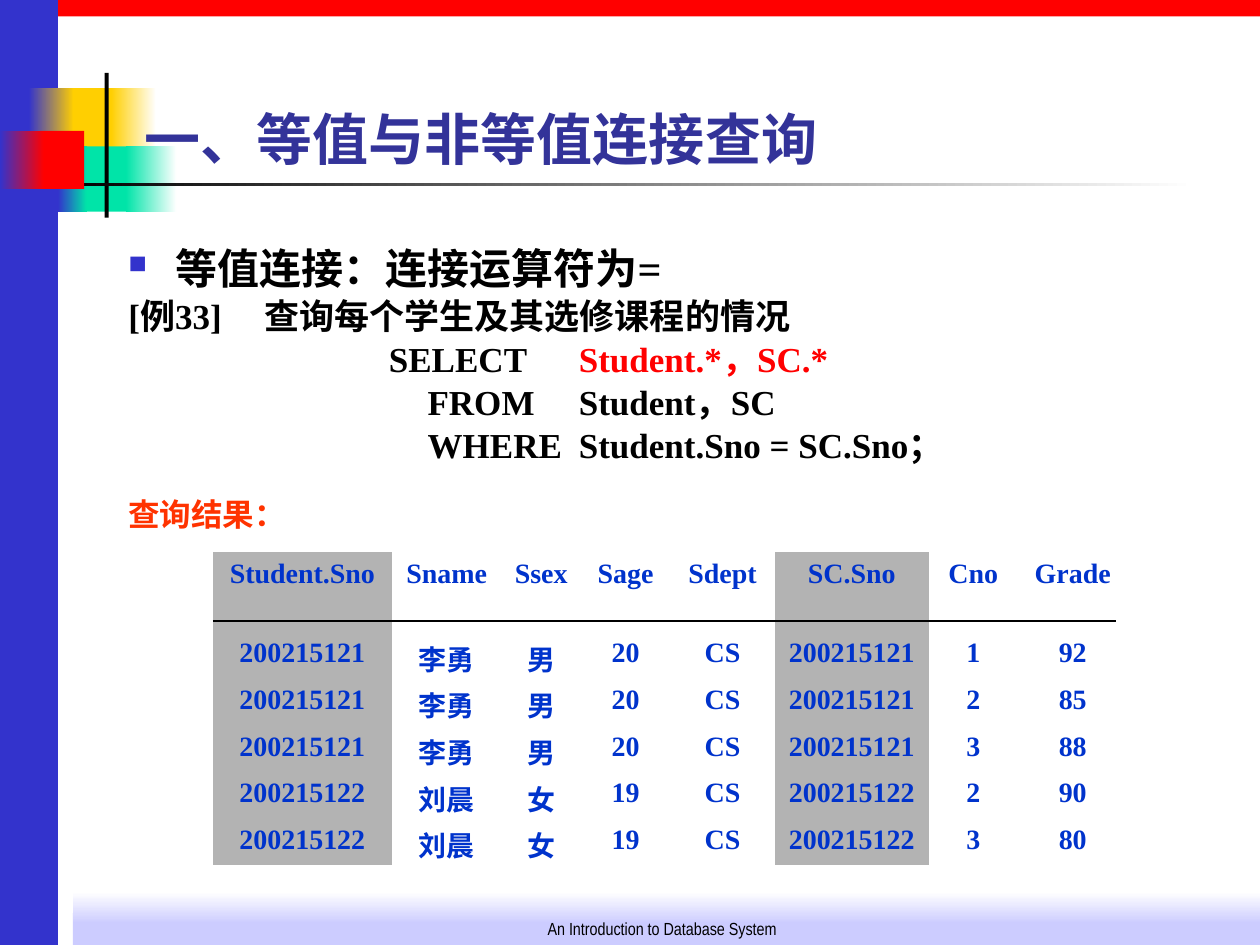
from dataclasses import dataclass
from typing import Optional

from lxml import etree
from pptx import Presentation
from pptx import util as u
from pptx.dml.color import RGBColor
from pptx.enum import shapes, text
from pptx.oxml import ns

Cm, Pt = u.Cm, u.Pt

WHITE = RGBColor(0xFF, 0xFF, 0xFF)
BLACK = RGBColor(0, 0, 0)
RED = RGBColor(0xFF, 0, 0)
INDIGO = RGBColor(0x33, 0x33, 0xCC)
LAVENDER = RGBColor(0xCC, 0xCC, 0xFF)
YELLOW = RGBColor(0xFF, 0xCF, 0x01)
GREEN = RGBColor(0, 0xE4, 0xA8)
TITLE_BLUE = RGBColor(0x33, 0x33, 0x99)
ORANGE = RGBColor(0xFF, 0x33, 0)
TABLE_BLUE = RGBColor(0, 0x33, 0xCC)
GREY = RGBColor(0xB3, 0xB3, 0xB3)

SERIF, CJK = "Times New Roman", "Noto Sans CJK SC"
NO_STYLE = "{2D5ABB26-0587-4C30-8999-92F81FD0307C}"


@dataclass
class Block:
    left: float
    top: float
    width: float
    height: float
    color: RGBColor
    end: Optional[RGBColor] = None  # second gradient colour
    angle: float = 0


@dataclass
class Style:
    size: float
    color: RGBColor = BLACK
    font: str = SERIF
    bold: bool = True


@dataclass
class Line:
    runs: list[tuple[str, Style]]
    tabs: tuple[float, ...] = ()
    bullet: bool = False


def sub(parent, tag: str, **attrs: str):
    return etree.SubElement(parent, ns.qn(tag), attrs)


def add_block(s, b: Block) -> None:
    sp = s.shapes.add_shape(shapes.MSO_SHAPE.RECTANGLE, Cm(b.left), Cm(b.top),
                            Cm(b.width), Cm(b.height))
    sp.shadow.inherit = False
    sp.line.fill.background()
    if b.end is None:
        sp.fill.solid()
        sp.fill.fore_color.rgb = b.color
        return
    sp.fill.gradient()
    sp.fill.gradient_angle = b.angle
    for stop, color, pos in zip(sp.fill.gradient_stops, (b.color, b.end), (0, 1)):
        stop.color.rgb = color
        stop.position = pos


def add_run(p, words: str, style: Style) -> None:
    r = p.add_run()
    r.text = words
    r.font.size, r.font.bold = Pt(style.size), style.bold
    r.font.name = style.font
    r.font.color.rgb = style.color
    sub(r.font._element, "a:ea", typeface=CJK)


def add_textbox(s, left: float, top: float, width: float, height: float,
                anchor=text.MSO_ANCHOR.TOP):
    tf = s.shapes.add_textbox(Cm(left), Cm(top), Cm(width), Cm(height)).text_frame
    tf.word_wrap = True
    tf.vertical_anchor = anchor
    return tf


def add_line(p, line: Line) -> None:
    p.line_spacing = 0.82
    pPr = p._p.get_or_add_pPr()
    if line.bullet:
        pPr.set("marL", str(Cm(0.95)))
        pPr.set("indent", str(-Cm(0.95)))
        sub(sub(pPr, "a:buClr"), "a:srgbClr", val=str(INDIGO))
        sub(pPr, "a:buSzPct", val="60000")
        sub(pPr, "a:buChar", char="■")
    if line.tabs:
        tab_list = sub(pPr, "a:tabLst")
        for pos in line.tabs:
            sub(tab_list, "a:tab", pos=str(Cm(pos)), algn="l")
    for words, style in line.runs:
        add_run(p, words, style)


def add_result_table(s, left: float, top: float, widths: list[float],
                     heights: list[float], rows: list[list[str]],
                     shaded: set[int], style: Style) -> None:
    frame = s.shapes.add_table(len(rows), len(widths), Cm(left), Cm(top),
                               Cm(sum(widths)), Cm(sum(heights)))
    table = frame.table
    table.first_row = table.horz_banding = False
    table._tbl.tblPr.find(ns.qn("a:tableStyleId")).text = NO_STYLE
    for col, width in zip(table.columns, widths):
        col.width = Cm(width)
    for i, (row, height) in enumerate(zip(rows, heights)):
        table.rows[i].height = Cm(height)
        for j, words in enumerate(row):
            cell = table.cell(i, j)
            cell.margin_bottom = 0
            if j in shaded:
                cell.fill.solid()
                cell.fill.fore_color.rgb = GREY
            else:
                cell.fill.background()
            p = cell.text_frame.paragraphs[0]
            p.alignment = text.PP_ALIGN.CENTER
            add_run(p, words, style)


BLOCKS = [
    # Frame: top bar, footer band, side bar
    Block(1.17, 0, 24.23, 0.33, RED),
    Block(1.47, 18.41, 23.93, 0.64, LAVENDER),
    Block(1.47, 17.98, 23.93, 0.64, WHITE, LAVENDER, 270),
    Block(0, 0, 1.17, 19.05, INDIGO),
    # Title ornament
    Block(1.47, 1.78, 0.89, 1.32, YELLOW),
    Block(2.24, 1.78, 0.91, 1.32, YELLOW, WHITE),
    Block(1.5, 2.95, 1.17, 1.32, GREEN),
    Block(2.54, 2.95, 1.02, 1.32, GREEN, WHITE),
    Block(2.11, 1.47, 0.08, 2.92, BLACK),
    Block(0.58, 1.78, 0.91, 1.32, INDIGO, YELLOW),
    Block(1.17, 2.95, 0.58, 1.32, INDIGO, GREEN),
    Block(1.22, 3.68, 22.86, 0.08, BLACK, WHITE),
    Block(0.81, 2.64, 0.89, 1.17, RED),
    Block(0, 2.64, 0.89, 1.17, INDIGO, RED),
]

CODE, CODE_RED = Style(20), Style(20, RED)
BODY = [
    Line([("等值连接：连接运算符为=", Style(24))], bullet=True),
    Line([("[例33]\t查询每个学生及其选修课程的情况", CODE)], (2.74,)),
    Line([("\tSELECT\t", CODE), ("Student.*，SC.*", CODE_RED)], (5.25, 9.08)),
    Line([("\tFROM\tStudent，SC", CODE)], (6.03, 9.08)),
    Line([("\tWHERE\tStudent.Sno = SC.Sno；", CODE)], (6.03, 9.08)),
]

RESULT = [
    ["Student.Sno", "Sname", "Ssex", "Sage", "Sdept", "SC.Sno", "Cno", "Grade"],
    ["200215121", "李勇", "男", "20", "CS", "200215121", "1", "92"],
    ["200215121", "李勇", "男", "20", "CS", "200215121", "2", "85"],
    ["200215121", "李勇", "男", "20", "CS", "200215121", "3", "88"],
    ["200215122", "刘晨", "女", "19", "CS", "200215122", "2", "90"],
    ["200215122", "刘晨", "女", "19", "CS", "200215122", "3", "80"],
]


def main() -> None:
    prs = Presentation()
    prs.slide_width, prs.slide_height = Cm(25.4), Cm(19.05)
    s = prs.slides.add_slide(prs.slide_layouts[6])

    for block in BLOCKS:
        add_block(s, block)

    # Footer and title
    bottom = text.MSO_ANCHOR.BOTTOM
    p = add_textbox(s, 9.32, 17.78, 8.05, 1.27, bottom).paragraphs[0]
    p.alignment = text.PP_ALIGN.CENTER
    add_run(p, "An Introduction to Database System",
            Style(10, font="Arial Narrow", bold=False))
    p = add_textbox(s, 2.67, 1.7, 22.17, 1.88, bottom).paragraphs[0]
    add_run(p, "一、等值与非等值连接查询", Style(32, TITLE_BLUE, "Montserrat"))

    # Query
    tf = add_textbox(s, 2.34, 4.95, 21.39, 6.02)
    for i, line in enumerate(BODY):
        p = tf.add_paragraph() if i else tf.paragraphs[0]
        if i:
            p.space_before = Pt(5)
        add_line(p, line)

    # Query result
    p = add_textbox(s, 2.34, 9.85, 5, 1.02).paragraphs[0]
    add_run(p, "查询结果：", Style(18, ORANGE, CJK))
    add_result_table(s, 4.29, 11.13, [3.61, 2.21, 1.6, 1.8, 2.11, 3.1, 1.8, 2.21],
                     [1.6] + [0.94] * 5, RESULT, {0, 5}, Style(16, TABLE_BLUE))
    rule = s.shapes.add_connector(shapes.MSO_CONNECTOR.STRAIGHT, Cm(4.29), Cm(12.52),
                                  Cm(22.5), Cm(12.52))
    rule.line.color.rgb = BLACK
    rule.line.width = Pt(0.75)
    sub(rule._element.spPr, "a:effectLst")

    prs.save("out.pptx")


if __name__ == "__main__":
    main()
